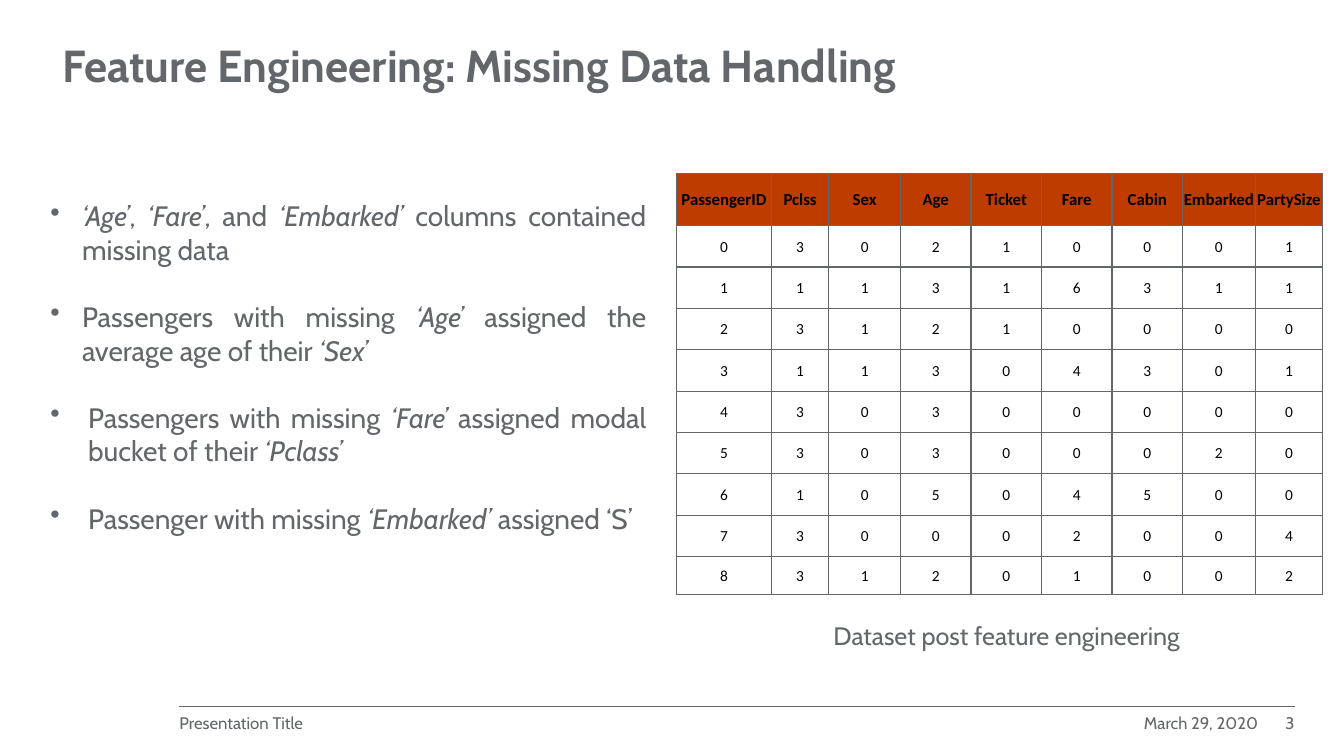
from dataclasses import dataclass

from lxml import etree
from pptx import Presentation
from pptx.dml.color import RGBColor
from pptx.enum.shapes import MSO_CONNECTOR
from pptx.enum.text import MSO_ANCHOR, MSO_AUTO_SIZE, PP_ALIGN
from pptx.oxml.ns import qn
from pptx.slide import Slide
from pptx.table import _Cell
from pptx.text.text import Font
from pptx.util import Emu, Inches, Pt

LEFT, RIGHT = PP_ALIGN.LEFT, PP_ALIGN.RIGHT
CENTER, JUSTIFY = PP_ALIGN.CENTER, PP_ALIGN.JUSTIFY
MIDDLE = MSO_ANCHOR.MIDDLE
GROW, FIXED = MSO_AUTO_SIZE.SHAPE_TO_FIT_TEXT, MSO_AUTO_SIZE.NONE
STRAIGHT = MSO_CONNECTOR.STRAIGHT

GREY = RGBColor(0x63, 0x66, 0x6A)
RUST = RGBColor(0xBE, 0x3C, 0x00)
BLACK = RGBColor(0x00, 0x00, 0x00)
SANS, GRID_FONT = "Cabin", "Calibri"

WIDTH, HEIGHT = Inches(13.33), Inches(7.5)


def across(share: float) -> Emu:
    """Turn a percentage of the slide's width into a length."""
    return Emu(round(WIDTH * share / 100))


def down(share: float) -> Emu:
    """Turn a percentage of the slide's height into a length."""
    return Emu(round(HEIGHT * share / 100))


@dataclass(frozen=True)
class Label:
    """A text box, placed in percent of the slide; *stars* mark italics."""
    left: float
    top: float
    width: float
    height: float
    lines: tuple[str, ...]
    size: int
    align: PP_ALIGN = LEFT
    bold: bool = False
    grow: bool = True
    pitch: float = 1.0
    gap: int = 0
    indents: tuple[float, ...] = ()


FOOT_TOP, FOOT_HIGH = 94.4, 2.67
FOOT_LEFT, FOOT_RIGHT = 13.35, 96.32
RULE_TOP = 93.47


def foot(left: float, width: float, text: str, align: PP_ALIGN) -> Label:
    """Describe one label of the footer row."""
    return Label(left, FOOT_TOP, width, FOOT_HIGH, (text,), 12, align,
                 grow=False, pitch=0.99)


POINTS = (
    "*‘Age’*, *‘Fare’*, and *‘Embarked’* columns contained missing data",
    "Passengers with missing *‘Age’* assigned the average age of their *‘Sex’*",
    "Passengers with missing *‘Fare’* assigned modal bucket of their *‘Pclass’*",
    "Passenger with missing *‘Embarked’* assigned ‘S’",
)
LABELS = (
    foot(78.24, 15.38, "March 29, 2020", RIGHT),
    foot(FOOT_LEFT, 22.06, "Presentation Title", LEFT),
    foot(93.62, 2.7, "3", RIGHT),
    Label(4.65, 4.93, 74.57, 7.2,
          ("Feature Engineering: Missing Data Handling",), 32, bold=True),
    Label(3.75, 26.27, 44.34, 49.33, POINTS, 20, JUSTIFY, gap=24,
          indents=(2.35, 2.35, 2.81, 2.81)),
    Label(54.46, 82, 40.88, 4, ("Dataset post feature engineering",), 18,
          CENTER),
)

TABLE_LEFT, TABLE_TOP = 50.34, 22.93
COLUMNS = {
    "PassengerID": 7.05, "Pclss": 4.28, "Sex": 5.33, "Age": 5.25,
    "Ticket": 5.25, "Fare": 5.25, "Cabin": 5.25, "Embarked": 5.4,
    "PartySize": 5.03,
}
RECORDS = ("30210001", "11316311", "31210000", "11304301", "30300000",
           "30300020", "10504500", "30002004", "31201002")
ROWS = (6.93, *[5.47] * (len(RECORDS) - 1), 5.07)


def style(font: Font, name: str, size: int, color: RGBColor,
          bold: bool = False) -> None:
    """Set the look of a font."""
    font.name, font.size, font.bold = name, Pt(size), bold
    font.color.rgb = color


def bullet(props: etree._Element, indent: float) -> None:
    """Hang a paragraph behind a round bullet."""
    props.set("marL", str(across(indent)))
    props.set("indent", str(-across(indent)))
    etree.SubElement(props, qn("a:buChar"), char="•")


def draw_label(slide: Slide, label: Label) -> None:
    """Draw a text box with its paragraphs."""
    box = slide.shapes.add_textbox(across(label.left), down(label.top),
                                   across(label.width), down(label.height))
    frame = box.text_frame
    frame.word_wrap = True
    frame.auto_size = GROW if label.grow else FIXED
    frame.margin_left = frame.margin_right = 0
    frame.margin_top = frame.margin_bottom = 0
    for index, line in enumerate(label.lines):
        para = frame.add_paragraph() if index else frame.paragraphs[0]
        para.alignment, para.line_spacing = label.align, label.pitch
        if index:
            para.space_before = Pt(label.gap)
        if label.indents:
            bullet(para._p.get_or_add_pPr(), label.indents[index])
        for part, text in enumerate(line.split("*")):
            if text:
                run = para.add_run()
                run.text = text
                style(run.font, SANS, label.size, GREY, label.bold)
                run.font.italic = part % 2 == 1


def draw_rule(slide: Slide) -> None:
    """Draw the thin line over the footer."""
    rule = slide.shapes.add_connector(STRAIGHT, across(FOOT_LEFT),
                                      down(RULE_TOP), across(FOOT_RIGHT),
                                      down(RULE_TOP))
    rule.line.color.rgb, rule.line.width = GREY, Pt(0.25)
    etree.SubElement(rule._element.spPr, qn("a:effectLst"))


def border(cell: _Cell) -> None:
    """Give a cell a one-point line on each side."""
    props = cell._tc.get_or_add_tcPr()
    for side in ("lnL", "lnR", "lnT", "lnB"):
        line = etree.SubElement(props, qn(f"a:{side}"), w=str(Pt(1)))
        fill = etree.SubElement(line, qn("a:solidFill"))
        etree.SubElement(fill, qn("a:srgbClr"), val=str(GREY))


def draw_cell(cell: _Cell, text: str, head: bool) -> None:
    """Fill in one cell of the dataset."""
    cell.margin_left = cell.margin_right = cell.margin_top = Inches(0.01)
    cell.margin_bottom = 0
    cell.vertical_anchor = MIDDLE
    border(cell)
    if head:
        cell.fill.solid()
        cell.fill.fore_color.rgb = RUST
    else:
        cell.fill.background()
    cell.text_frame.text = text
    para = cell.text_frame.paragraphs[0]
    para.alignment = CENTER
    style(para.runs[0].font, GRID_FONT, 12 if head else 11, BLACK, head)


def draw_table(slide: Slide) -> None:
    """Draw the dataset, numbering its passengers from zero."""
    data = [list(COLUMNS)]
    data += [[str(key), *record] for key, record in enumerate(RECORDS)]
    table = slide.shapes.add_table(
        len(data), len(COLUMNS), across(TABLE_LEFT), down(TABLE_TOP),
        across(sum(COLUMNS.values())), down(sum(ROWS))).table
    table.first_row = table.horz_banding = False
    for column, share in zip(table.columns, COLUMNS.values()):
        column.width = across(share)
    for index, (row, share) in enumerate(zip(table.rows, ROWS)):
        row.height = down(share)
        for cell, text in zip(row.cells, data[index]):
            draw_cell(cell, text, index == 0)


def main() -> None:
    """Build the slide and save it."""
    deck = Presentation()
    deck.slide_width, deck.slide_height = WIDTH, HEIGHT
    slide = deck.slides.add_slide(deck.slide_layouts[6])
    draw_rule(slide)
    for label in LABELS:
        draw_label(slide, label)
    draw_table(slide)
    deck.save("out.pptx")


main()
